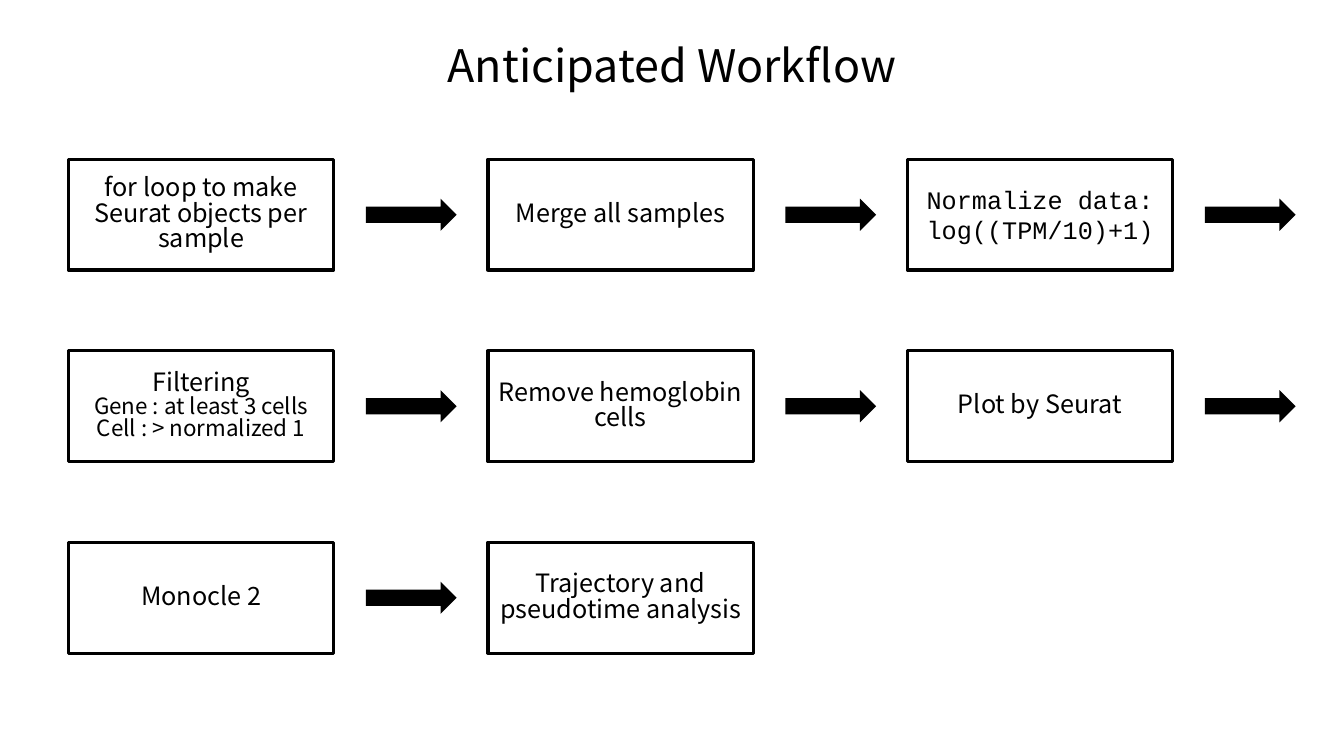
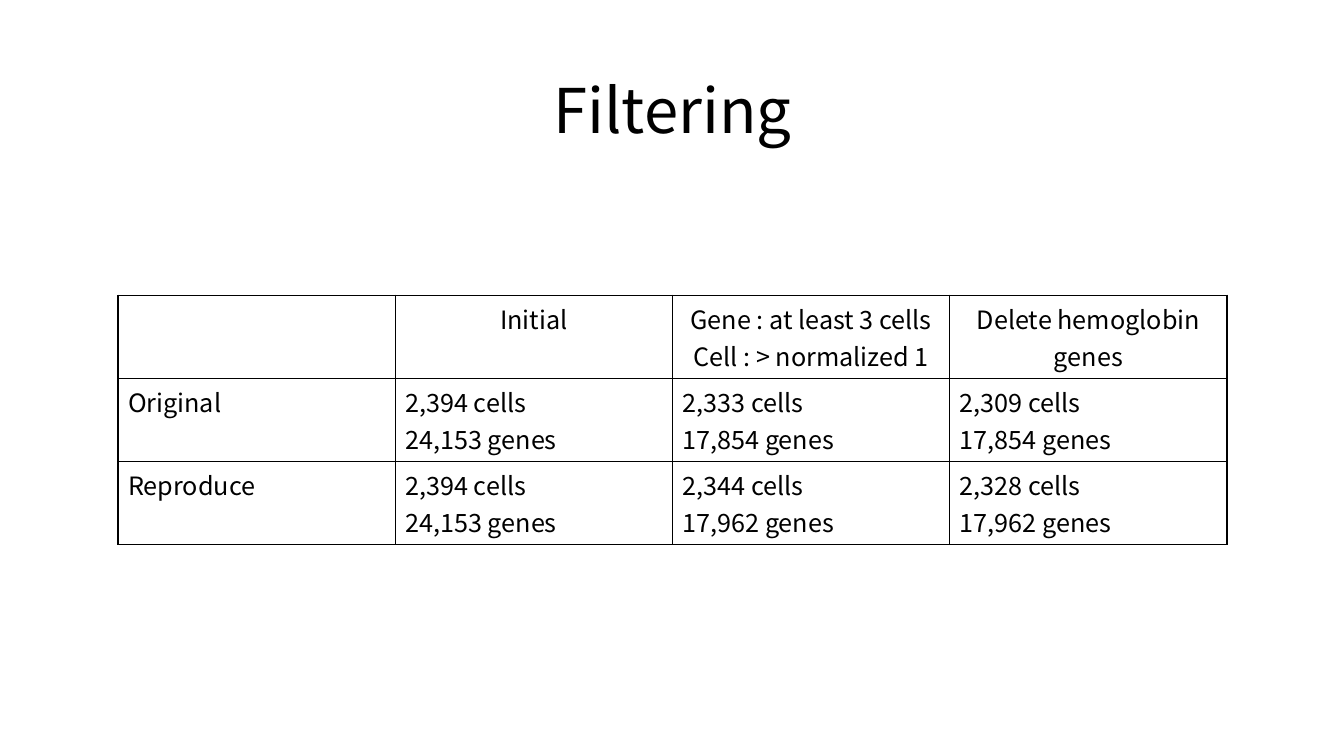
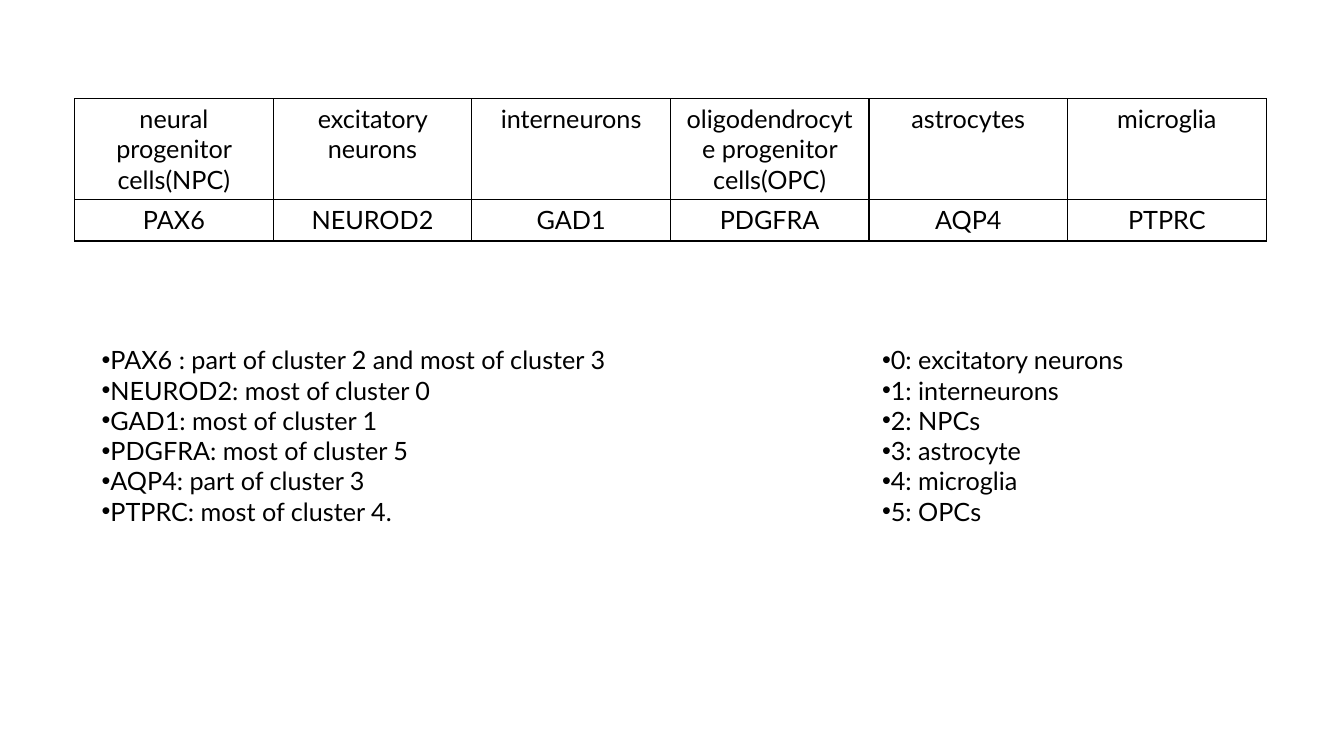
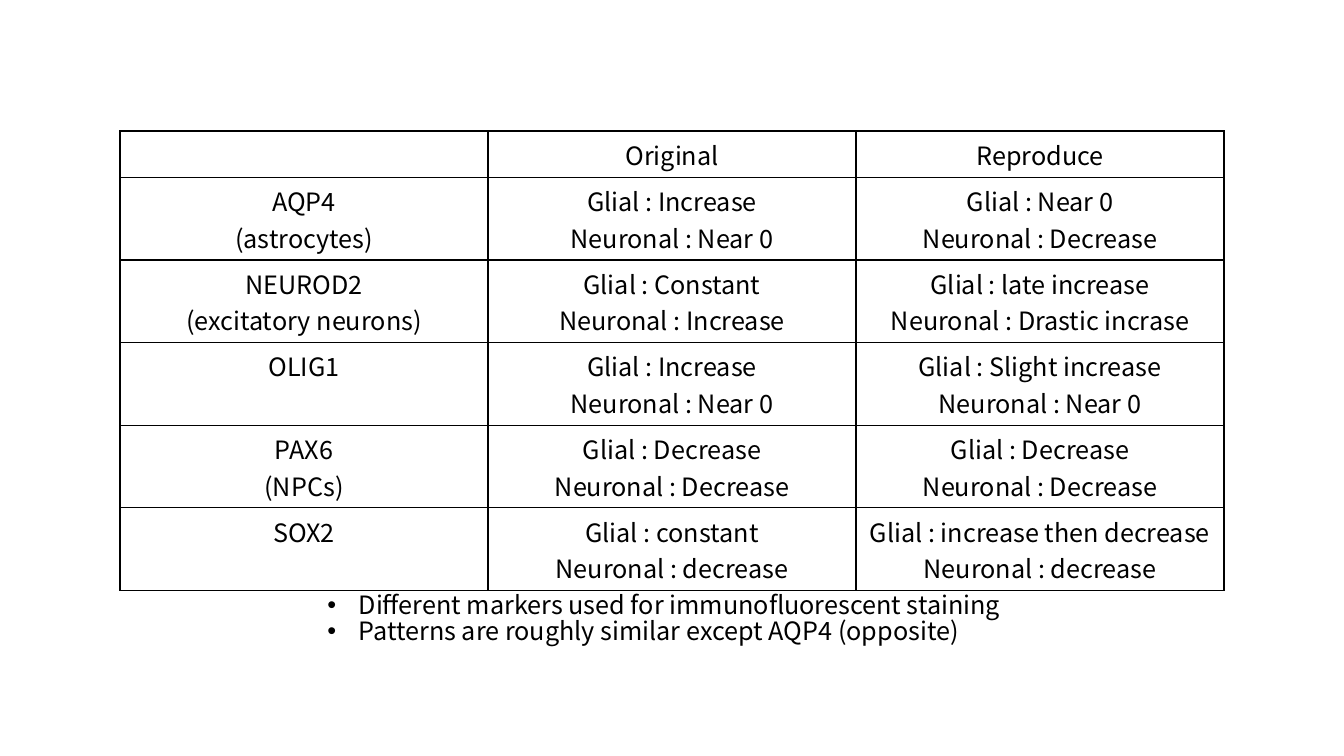
import pptx
import pptx.dml.color
import pptx.enum.shapes
import pptx.enum.text
import pptx.oxml
import pptx.oxml.ns
import pptx.util
from pptx.util import Inches, Pt

BLACK = pptx.dml.color.RGBColor(0, 0, 0)
SANS = "Noto Sans CJK KR"
LATO = "Lato"
MONO = "Courier New"
TIGHT = 0.84
CENTER = pptx.enum.text.PP_ALIGN.CENTER
LEFT = pptx.enum.text.PP_ALIGN.LEFT
TITLE_ONLY, BLANK = 5, 6

STEPS = [
    ("for loop to make Seurat objects per sample", SANS),
    ("Merge all samples", SANS),
    ("Normalize data:\nlog((TPM/10)+1)", MONO),
    ("Filtering\nGene : at least 3 cells\nCell : > normalized 1", SANS),
    ("Remove hemoglobin cells", SANS),
    ("Plot by Seurat", SANS),
    ("Monocle 2", SANS),
    ("Trajectory and pseudotime analysis", SANS),
]

FILTERING = [
    ["", "Initial", "Gene : at least 3 cells\nCell : > normalized 1", "Delete hemoglobin genes"],
    ["Original", "2,394 cells\n24,153 genes", "2,333 cells\n17,854 genes", "2,309 cells\n17,854 genes"],
    ["Reproduce", "2,394 cells\n24,153 genes", "2,344 cells\n17,962 genes", "2,328 cells\n17,962 genes"],
]

MARKERS = [
    ["neural progenitor cells(NPC)", "excitatory neurons", "interneurons",
     "oligodendrocyte progenitor cells(OPC)", "astrocytes", "microglia"],
    ["PAX6", "NEUROD2", "GAD1", "PDGFRA", "AQP4", "PTPRC"],
]

MARKER_CLUSTERS = """PAX6 : part of cluster 2 and most of cluster 3
NEUROD2: most of cluster 0
GAD1: most of cluster 1
PDGFRA: most of cluster 5
AQP4: part of cluster 3
PTPRC: most of cluster 4."""

CLUSTER_TYPES = """0: excitatory neurons
1: interneurons
2: NPCs
3: astrocyte
4: microglia
5: OPCs"""

TRENDS = [
    ["", "Original", "Reproduce"],
    ["AQP4\n(astrocytes)", "Glial : Increase\nNeuronal : Near 0", "Glial : Near 0\nNeuronal : Decrease"],
    ["NEUROD2\n(excitatory neurons)", "Glial : Constant\nNeuronal : Increase",
     "Glial : late increase\nNeuronal : Drastic incrase"],
    ["OLIG1", "Glial : Increase\nNeuronal : Near 0", "Glial : Slight increase\nNeuronal : Near 0"],
    ["PAX6\n(NPCs)", "Glial : Decrease\nNeuronal : Decrease", "Glial : Decrease\nNeuronal : Decrease"],
    ["SOX2", "Glial : constant\nNeuronal : decrease", "Glial : increase then decrease\nNeuronal : decrease"],
]

CONCLUSIONS = """Different markers used for immunofluorescent staining
Patterns are roughly similar except AQP4 (opposite)"""


def write_text(frame, text, font=SANS, size=18, align=LEFT, spacing=None):
    frame.text = text
    for paragraph in frame.paragraphs:
        paragraph.alignment = align
        paragraph.line_spacing = spacing
        paragraph.font.name = font
        paragraph.font.size = Pt(size)
        paragraph.font.color.rgb = BLACK


def add_slide(presentation, layout):
    return presentation.slides.add_slide(presentation.slide_layouts[layout])


def place_title(slide, text, left, top, width, height, size, spacing):
    title = slide.shapes.title
    title.left, title.top = Inches(left), Inches(top)
    title.width, title.height = Inches(width), Inches(height)
    frame = title.text_frame
    write_text(frame, text, size=size, align=CENTER, spacing=spacing)
    frame.word_wrap = True
    frame.auto_size = pptx.enum.text.MSO_AUTO_SIZE.NONE
    frame.vertical_anchor = pptx.enum.text.MSO_ANCHOR.MIDDLE


def add_step(slide, text, font, left, top):
    box = slide.shapes.add_shape(
        pptx.enum.shapes.MSO_SHAPE.RECTANGLE, Inches(left), Inches(top), Inches(2.63), Inches(1.1))
    box.shadow.inherit = False
    box.fill.background()
    box.line.color.rgb = BLACK
    box.line.width = Pt(2.25)
    frame = box.text_frame
    frame.word_wrap = True
    frame.vertical_anchor = pptx.enum.text.MSO_ANCHOR.MIDDLE
    write_text(frame, text, font, align=CENTER, spacing=TIGHT if font == SANS else None)
    if font == SANS:
        for detail in frame.paragraphs[1:]:
            detail.font.size = Pt(16)


def add_step_arrow(slide, left, top):
    arrow = slide.shapes.add_shape(
        pptx.enum.shapes.MSO_SHAPE.RIGHT_ARROW, Inches(left), Inches(top), Inches(0.9), Inches(0.32))
    arrow.shadow.inherit = False
    arrow.fill.solid()
    arrow.fill.fore_color.rgb = BLACK
    arrow.line.fill.background()


def add_workflow(slide, left, top, columns=3, column_pitch=4.16, row_pitch=1.9):
    for index, (text, font) in enumerate(STEPS):
        row, column = divmod(index, columns)
        step_left = left + column * column_pitch
        step_top = top + row * row_pitch
        add_step(slide, text, font, step_left, step_top)
        if index < len(STEPS) - 1:
            add_step_arrow(slide, step_left + 2.95, step_top + 0.39)


def outline_cell(cell):
    properties = cell._tc.get_or_add_tcPr()
    for position, side in enumerate(("lnL", "lnR", "lnT", "lnB")):
        border = pptx.oxml.parse_xml(
            f'<a:{side} {pptx.oxml.ns.nsdecls("a")} w="{Pt(1)}">'
            f'<a:solidFill><a:srgbClr val="{BLACK}"/></a:solidFill></a:{side}>')
        properties.insert(position, border)


def add_grid(slide, rows, left, top, column_width, row_heights, font=SANS, body_align=CENTER):
    columns = len(rows[0])
    frame = slide.shapes.add_table(
        len(rows), columns, Inches(left), Inches(top),
        Inches(column_width * columns), Inches(sum(row_heights)))
    table = frame.table
    table.first_row = False
    table.horz_banding = False
    for column in table.columns:
        column.width = Inches(column_width)
    for index, (texts, height) in enumerate(zip(rows, row_heights)):
        table.rows[index].height = Inches(height)
        for cell, text in zip(table.rows[index].cells, texts):
            write_text(cell.text_frame, text, font, align=body_align if index else CENTER)
            cell.fill.background()
            outline_cell(cell)


def add_bullets(slide, text, left, top, width, height, font=SANS, indent=0, spacing=None):
    box = slide.shapes.add_textbox(Inches(left), Inches(top), Inches(width), Inches(height))
    frame = box.text_frame
    frame.word_wrap = True
    write_text(frame, text, font, spacing=spacing)
    for paragraph in frame.paragraphs:
        properties = paragraph._p.get_or_add_pPr()
        properties.set("marL", str(Inches(indent)))
        properties.set("indent", str(-Inches(indent)))
        bullet_parts = ('<a:buFont {} typeface="Arial"/>', '<a:buChar {} char="•"/>')
        position = 0 if spacing is None else 1
        for offset, part in enumerate(bullet_parts):
            element = pptx.oxml.parse_xml(part.format(pptx.oxml.ns.nsdecls("a")))
            properties.insert(position + offset, element)


def build_workflow_slide(presentation):
    slide = add_slide(presentation, TITLE_ONLY)
    place_title(slide, "Anticipated Workflow", 3.95, 0.36, 5.43, 0.64, 32, TIGHT)
    add_workflow(slide, 0.68, 1.58)


def build_filtering_slide(presentation):
    slide = add_slide(presentation, TITLE_ONLY)
    place_title(slide, "Filtering", 0.92, 0.4, 11.5, 1.45, 44, 0.9)
    add_grid(slide, FILTERING, 1.17, 2.93, 2.75, [0.82] * 3, body_align=LEFT)


def build_markers_slide(presentation):
    slide = add_slide(presentation, BLANK)
    add_grid(slide, MARKERS, 0.74, 0.98, 1.97, [1, 0.41], LATO)
    add_bullets(slide, MARKER_CLUSTERS, 0.91, 3.37, 6.67, 1.92, LATO)
    add_bullets(slide, CLUSTER_TYPES, 8.65, 3.37, 4, 1.92, LATO)


def build_trends_slide(presentation):
    slide = add_slide(presentation, BLANK)
    add_grid(slide, TRENDS, 1.19, 1.3, 3.65, [0.46] + [0.82] * 5)
    add_bullets(slide, CONCLUSIONS, 3.15, 5.85, 7.03, 0.71, indent=0.31, spacing=TIGHT)


def main():
    presentation = pptx.Presentation()
    presentation.slide_width = Inches(13.33)
    presentation.slide_height = Inches(7.5)
    build_workflow_slide(presentation)
    build_filtering_slide(presentation)
    build_markers_slide(presentation)
    build_trends_slide(presentation)
    presentation.save("out.pptx")


if __name__ == "__main__":
    main()
